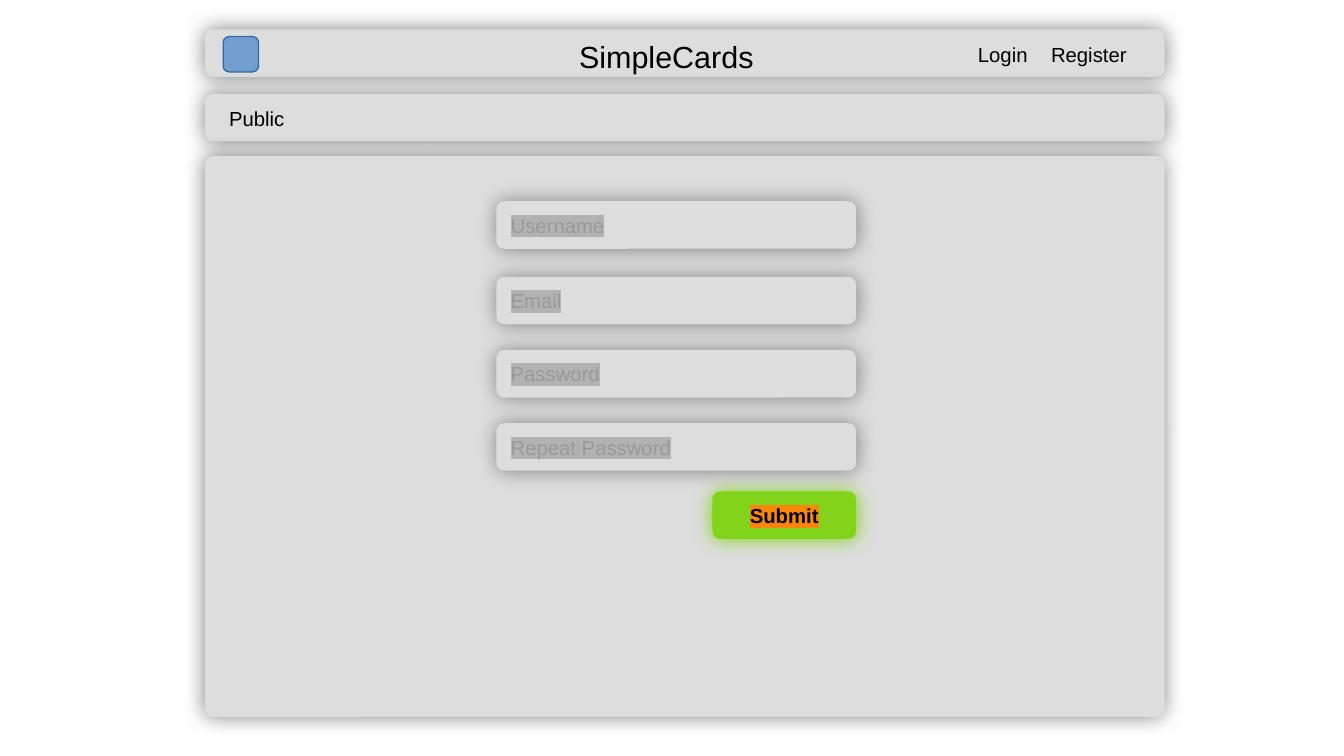
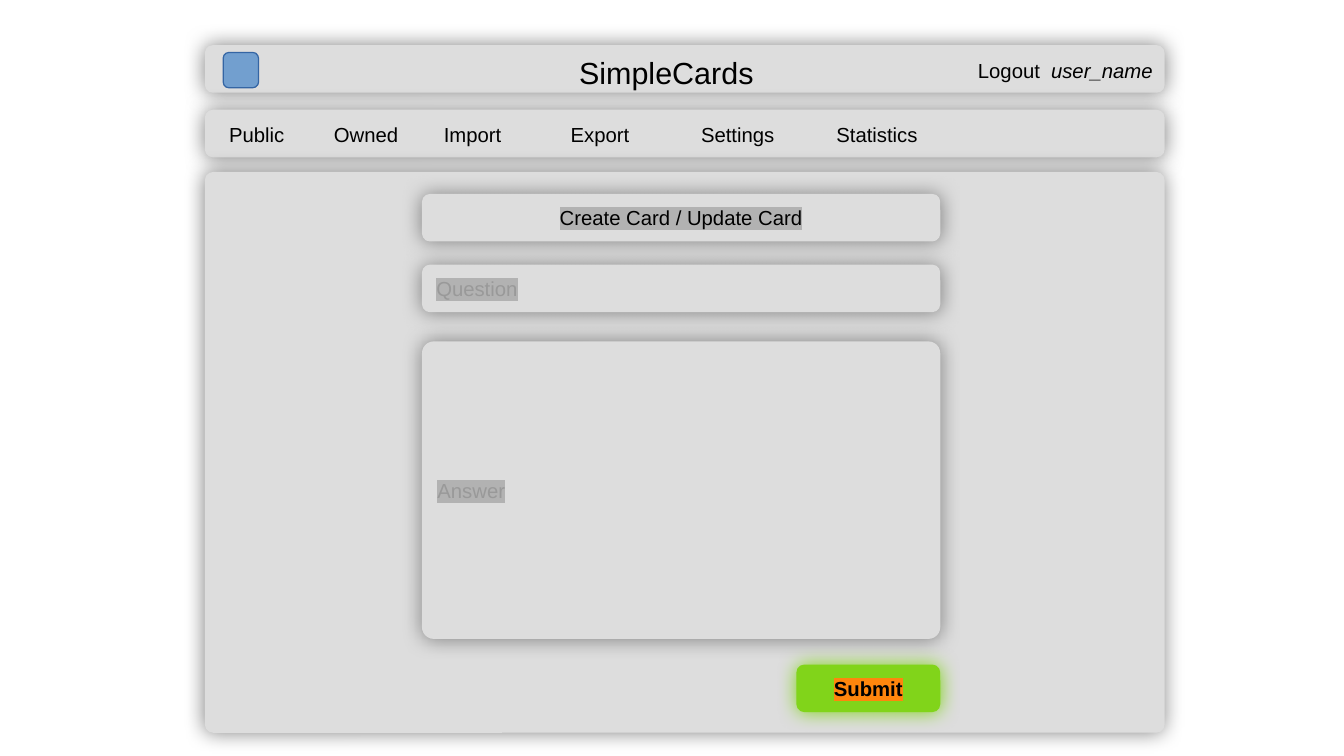
"""Build two wireframe screens of a flash card web application."""
import pptx
import pptx.dml.color
import pptx.enum.shapes
import pptx.enum.text
import pptx.oxml.ns
import pptx.util
from lxml import etree

Inches = pptx.util.Inches
ALIGN = pptx.enum.text.PP_ALIGN

GREY, BLUE, NAVY, GREEN, BLACK = "DDDDDD", "729FCF", "3465A4", "81D41A", "000000"
SHADE, HINT, MARK, ORANGE = "808080", "999999", "B2B2B2", "FF860D"
BAR_LEFT, BAR_WIDTH, BAR_HEIGHT = 1.68, 7.87, 0.39
BUTTON_WIDTH, CORNER = 1.18, 0.167

STYLES = {
    "title": {"size": 18},
    "link": {"size": 12},
    "user": {"size": 12, "italic": True},
    "hint": {"size": 12, "color": HINT, "highlight": MARK},
    "heading": {"size": 12, "highlight": MARK, "align": ALIGN.CENTER},
    "submit": {"size": 12, "bold": True, "highlight": ORANGE, "align": ALIGN.CENTER},
}

SCREENS = [
    {
        "top": 0.24,
        "account": [("Login", "link"), ("Register", "link")],
        "menu": [("Public", 1.78, 0.71)],
        "field_left": 4.07,
        "field_width": 2.95,
        "fields": [
            ("Username", "hint", 1.65, BAR_HEIGHT, CORNER),
            ("Email", "hint", 2.27, BAR_HEIGHT, CORNER),
            ("Password", "hint", 2.87, BAR_HEIGHT, CORNER),
            ("Repeat Password", "hint", 3.47, BAR_HEIGHT, CORNER),
        ],
        "submit_top": 4.03,
    },
    {
        "top": 0.37,
        "account": [("Logout", "link"), ("user_name", "user")],
        "menu": [
            ("Public", 1.78, 0.71),
            ("Owned", 2.64, 0.73),
            ("Import", 3.54, 0.71),
            ("Export", 4.58, 0.71),
            ("Settings", 5.65, 0.8),
            ("Statistics", 6.76, 0.86),
        ],
        "field_left": 3.46,
        "field_width": 4.25,
        "fields": [
            ("Create Card / Update Card", "heading", 1.59, BAR_HEIGHT, CORNER),
            ("Question", "hint", 2.17, BAR_HEIGHT, CORNER),
            ("Answer", "hint", 2.8, 2.44, 0.04),
        ],
        "submit_top": 5.45,
    },
]


def rgb(value):
    """Turn a hex string into a colour."""
    return pptx.dml.color.RGBColor.from_string(value)


def add_node(parent, tag, **attributes):
    """Append a DrawingML element."""
    return etree.SubElement(parent, pptx.oxml.ns.qn(tag), attributes)


def write(box, text, style, right_inset=0.1):
    """Fill a box with one line of styled text."""
    look = STYLES[style]
    frame = box.text_frame
    settings = {
        "word_wrap": True,
        "margin_left": Inches(0.1),
        "margin_right": Inches(right_inset),
        "margin_top": Inches(0.05),
        "margin_bottom": Inches(0.05),
    }
    for name, value in settings.items():
        setattr(frame, name, value)
    para = frame.paragraphs[0]
    para.alignment = look.get("align", ALIGN.LEFT)
    span = para.add_run()
    span.text = text
    font = {
        "name": "Arial",
        "size": pptx.util.Pt(look["size"]),
        "bold": look.get("bold"),
        "italic": look.get("italic"),
    }
    for name, value in font.items():
        setattr(span.font, name, value)
    span.font.color.rgb = rgb(look.get("color", BLACK))
    if "highlight" in look:
        props = span.font.fill._xPr
        mark = add_node(props, "a:highlight")
        add_node(mark, "a:srgbClr", val=look["highlight"])
        props.find(pptx.oxml.ns.qn("a:solidFill")).addnext(mark)


def add_label(page, text, style, left, top, width, height=0.29):
    """Place plain text on the page."""
    box = page.shapes.add_textbox(*map(Inches, (left, top, width, height)))
    write(box, text, style, right_inset=0)


def add_panel(page, left, top, width, height, corner=CORNER, fill=GREY, glow=SHADE):
    """Place a rounded panel, with a soft shadow when glow is given."""
    panel = page.shapes.add_shape(
        pptx.enum.shapes.MSO_SHAPE.ROUNDED_RECTANGLE,
        *map(Inches, (left, top, width, height)),
    )
    panel.adjustments[0] = corner
    panel.fill.solid()
    panel.fill.fore_color.rgb = rgb(fill)
    panel.line.fill.background()
    panel.shadow.inherit = False
    panel.text_frame.vertical_anchor = pptx.enum.text.MSO_ANCHOR.MIDDLE
    if glow:
        effects = panel._element.spPr.find(pptx.oxml.ns.qn("a:effectLst"))
        blur = str(pptx.util.Pt(12))
        shadow = add_node(effects, "a:outerShdw", blurRad=blur, dist="0", dir="0",
                          algn="ctr", rotWithShape="0")
        add_node(shadow, "a:srgbClr", val=glow)
    return panel


def add_frame(page, screen):
    """Draw the header, the menu bar and the content panel."""
    top = screen["top"]
    add_panel(page, BAR_LEFT, top, BAR_WIDTH, BAR_HEIGHT)
    icon = add_panel(page, 1.83, top + 0.06, 0.29, 0.29, fill=BLUE, glow=None)
    icon.line.color.rgb = rgb(NAVY)
    icon.line.width = 0
    add_label(page, "SimpleCards", "title", 4.65, top + 0.02, 1.63, 0.38)
    for (text, style), left, width in zip(screen["account"], (7.92, 8.52), (0.71, 1.03)):
        add_label(page, text, style, left, top + 0.06, width)
    add_panel(page, BAR_LEFT, top + 0.53, BAR_WIDTH, BAR_HEIGHT)
    add_panel(page, BAR_LEFT, top + 1.04, BAR_WIDTH, 4.6, corner=0.015)
    for text, left, width in screen["menu"]:
        add_label(page, text, "link", left, top + 0.58, width)


def add_form(page, screen):
    """Draw the form fields and the submit button."""
    left, width = screen["field_left"], screen["field_width"]
    for text, style, top, height, corner in screen["fields"]:
        write(add_panel(page, left, top, width, height, corner), text, style)
    button = add_panel(page, left + width - BUTTON_WIDTH, screen["submit_top"],
                       BUTTON_WIDTH, BAR_HEIGHT, fill=GREEN, glow=GREEN)
    write(button, "Submit", "submit")


def main():
    """Build and save the deck."""
    deck = pptx.Presentation()
    deck.slide_width, deck.slide_height = Inches(11.02), Inches(6.2)
    for screen in SCREENS:
        page = deck.slides.add_slide(deck.slide_layouts[6])
        add_frame(page, screen)
        add_form(page, screen)
    deck.save("out.pptx")


if __name__ == "__main__":
    main()
